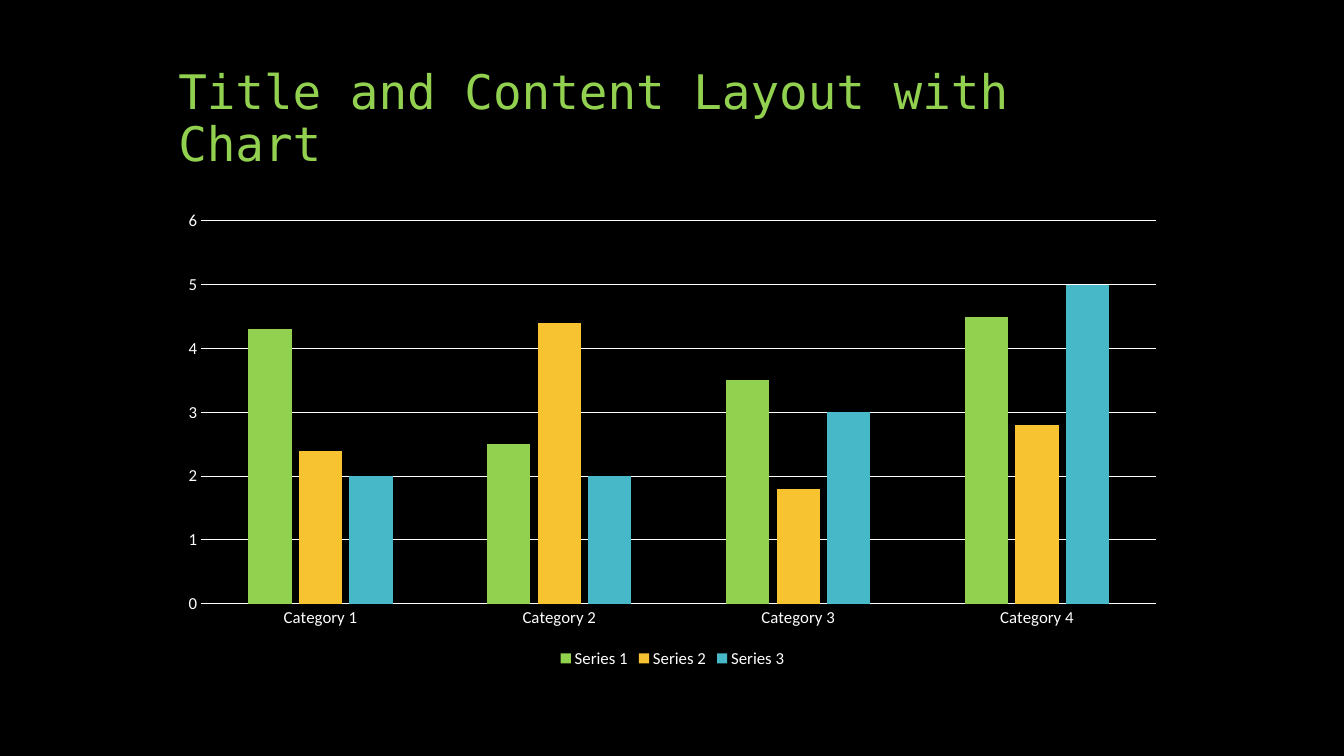
from pptx import Presentation
from pptx.chart.data import CategoryChartData
from pptx.dml.color import RGBColor
from pptx.enum.chart import XL_CHART_TYPE as ChartType
from pptx.enum.chart import XL_LEGEND_POSITION as LegendPosition
from pptx.enum.chart import XL_TICK_MARK as TickMark
from pptx.enum.text import MSO_ANCHOR as Anchor
from pptx.util import Inches, Pt

BLACK, WHITE, GREEN = "000000", "FFFFFF", "92D050"
LEFT, WIDTH = Inches(1.67), Inches(10)

CATEGORIES = [f"Category {number}" for number in range(1, 5)]
SERIES = [
    ("Series 1", (4.3, 2.5, 3.5, 4.5), GREEN),
    ("Series 2", (2.4, 4.4, 1.8, 2.8), "F7C331"),
    ("Series 3", (2, 2, 3, 5), "47B8C7"),
]


def color(value):
    return RGBColor.from_string(value)


def set_font(font, name, size, value):
    font.name = name
    font.size = Pt(size)
    font.color.rgb = color(value)


def set_line(line, value):
    line.color.rgb = color(value)
    line.width = Pt(0.75)


def add_title(slide, text):
    box = slide.shapes.add_textbox(LEFT, Inches(0.5), WIDTH, Inches(1.25))
    frame = box.text_frame
    frame.word_wrap = True
    frame.vertical_anchor = Anchor.BOTTOM
    paragraph = frame.paragraphs[0]
    paragraph.text = text
    paragraph.line_spacing = 0.9
    set_font(paragraph.font, "DejaVu Sans Mono", 34, GREEN)


def style_axis(axis):
    axis.major_tick_mark = axis.minor_tick_mark = TickMark.NONE
    set_font(axis.tick_labels.font, "Calibri", 12, WHITE)


def add_column_chart(slide):
    data = CategoryChartData()
    data.categories = CATEGORIES
    for name, values, _ in SERIES:
        data.add_series(name, values)
    chart = slide.shapes.add_chart(
        ChartType.COLUMN_CLUSTERED, LEFT, Inches(2), WIDTH, Inches(4.67), data
    ).chart
    chart.has_title = False
    set_font(chart.font, "Calibri", 10, WHITE)

    # Columns
    plot = chart.plots[0]
    plot.vary_by_categories = False
    plot.gap_width = 219
    plot.overlap = -17
    for series, (_, _, fill_color) in zip(plot.series, SERIES):
        series.invert_if_negative = False
        series.format.fill.solid()
        series.format.fill.fore_color.rgb = color(fill_color)

    # Axes and gridlines
    category_axis, value_axis = chart.category_axis, chart.value_axis
    style_axis(category_axis)
    style_axis(value_axis)
    set_line(category_axis.format.line, WHITE)
    value_axis.format.line.fill.background()
    value_axis.minimum_scale = 0
    value_axis.maximum_scale = 6
    value_axis.major_unit = 1
    set_line(value_axis.major_gridlines.format.line, WHITE)

    # Legend
    chart.has_legend = True
    chart.legend.position = LegendPosition.BOTTOM
    chart.legend.include_in_layout = False
    set_font(chart.legend.font, "Calibri", 12, WHITE)


def main():
    presentation = Presentation()
    presentation.slide_width = Inches(13.33)
    presentation.slide_height = Inches(7.5)
    slide = presentation.slides.add_slide(presentation.slide_layouts[6])
    slide.background.fill.solid()
    slide.background.fill.fore_color.rgb = color(BLACK)

    add_title(slide, "Title and Content Layout with Chart")
    add_column_chart(slide)
    presentation.save("out.pptx")


if __name__ == "__main__":
    main()
